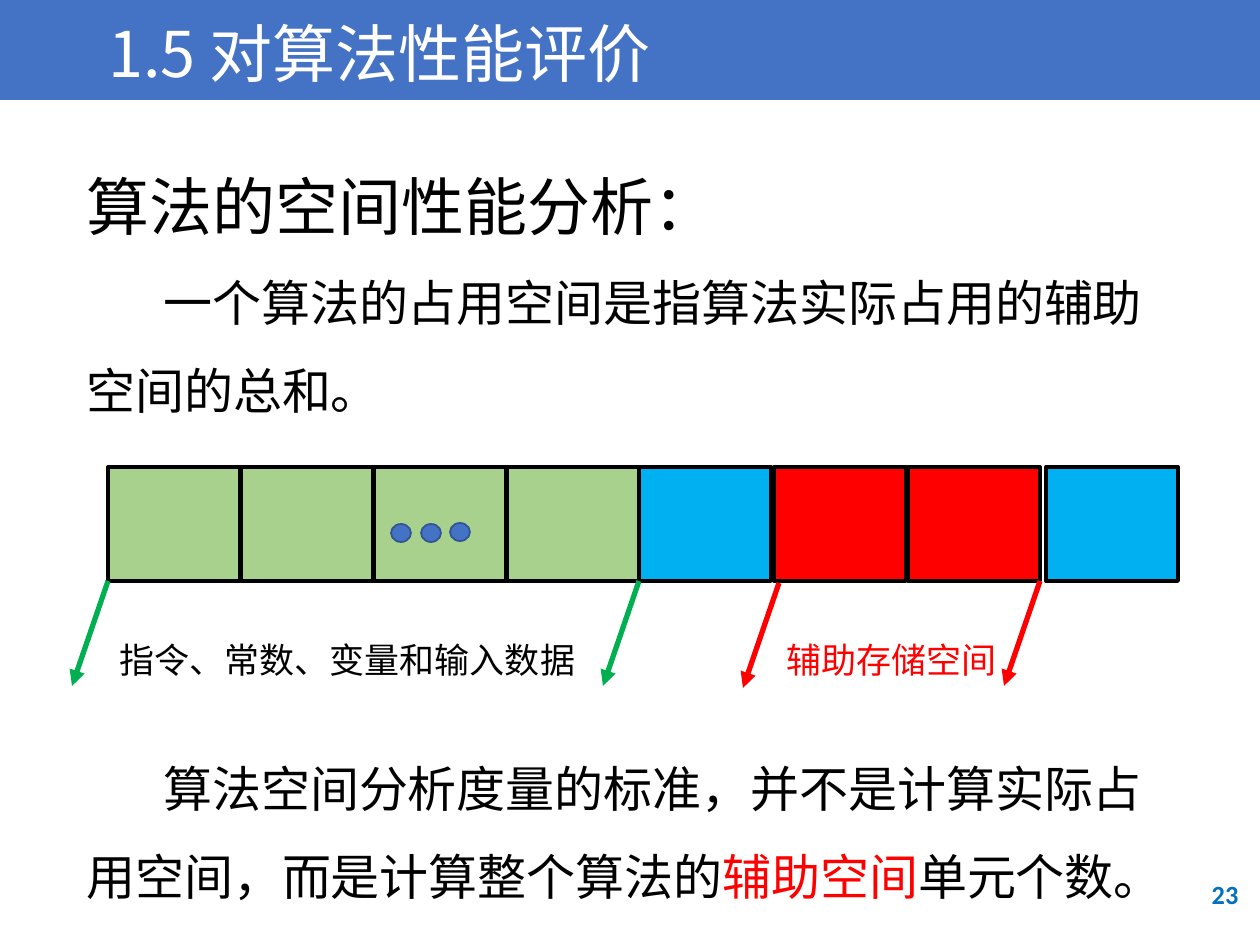
from lxml import etree
from pptx import Presentation
from pptx.dml.color import RGBColor
from pptx.enum.shapes import MSO_CONNECTOR, MSO_SHAPE
from pptx.enum.text import MSO_ANCHOR, PP_ALIGN
from pptx.oxml.ns import qn
from pptx.util import Emu, Pt

RECT, OVAL = MSO_SHAPE.RECTANGLE, MSO_SHAPE.OVAL
STRAIGHT = MSO_CONNECTOR.STRAIGHT
LEFT, CENTER = PP_ALIGN.LEFT, PP_ALIGN.CENTER
TOP, MIDDLE = MSO_ANCHOR.TOP, MSO_ANCHOR.MIDDLE

CJK = "Noto Sans CJK SC"
BLACK, WHITE, RED = "000000", "FFFFFF", "FF0000"
BLUE, GREEN, SKY = "4472C4", "A9D18E", "00B0F0"
ARROW_GREEN = "00B050"
INDENT = 77


def px(n):
    return Emu(round(n * 914400 / 126))


def rgb(value):
    return RGBColor.from_string(value)


def add_shape(slide, kind, x, y, w, h, fill, line=None, weight=1):
    sp = slide.shapes.add_shape(kind, px(x), px(y), px(w), px(h))
    sp.shadow.inherit = False
    sp.fill.solid()
    sp.fill.fore_color.rgb = rgb(fill)
    if line:
        sp.line.color.rgb = rgb(line)
        sp.line.width = Pt(weight)
    else:
        sp.line.fill.background()
    return sp


def add_run(p, text, size, color=BLACK, font=CJK, bold=False):
    r = p.add_run()
    r.text = text
    r.font.size = Pt(size)
    r.font.name = font
    r.font.bold = bold
    r.font.color.rgb = rgb(color)
    ea = etree.SubElement(r._r.get_or_add_rPr(), qn("a:ea"))
    ea.set("typeface", font)


def add_text(slide, x, y, w, h, paragraphs, align=LEFT, anchor=TOP,
             spacing=1.0, **fmt):
    """Each paragraph is (indent, size, [(text, color), ...])."""
    tf = slide.shapes.add_textbox(px(x), px(y), px(w), px(h)).text_frame
    tf.word_wrap = True
    tf.vertical_anchor = anchor
    for i, (indent, size, runs) in enumerate(paragraphs):
        p = tf.add_paragraph() if i else tf.paragraphs[0]
        p.alignment = align
        p.line_spacing = spacing
        if indent:
            p._p.get_or_add_pPr().set("indent", str(px(indent)))
        for text, color in runs:
            add_run(p, text, size, color, **fmt)


def add_arrow(slide, x, y, color):
    line = slide.shapes.add_connector(STRAIGHT, px(x), px(y),
                                      px(x - 36), px(y + 105))
    line.line.color.rgb = rgb(color)
    line.line.width = Pt(3)
    tail = etree.SubElement(line.line._get_or_add_ln(), qn("a:tailEnd"))
    tail.set("type", "triangle")
    etree.SubElement(line._element.spPr, qn("a:effectLst"))


def title_bar(slide, x, y, w, h):
    add_shape(slide, RECT, x, y, w, h, BLUE)
    add_text(slide, x + 96, y + 8, w - 96, 89,
             [(0, 36, [("1.5 对算法性能评价", WHITE)])])


def definition(slide, x, y, w, h):
    add_text(slide, x, y, w, h, [
        (0, 36, [("算法的空间性能分析：", BLACK)]),
        (INDENT, 28, [("一个算法的占用空间是指算法实际占用的辅助空间的总和。",
                       BLACK)]),
    ], spacing=1.5)


def memory_diagram(slide, x, y, cell_w, cell_h):
    # Memory cells
    cells = [(i * 133, GREEN) for i in range(4)]
    cells += [(531, SKY), (666, RED), (800, RED), (938, SKY)]
    for dx, fill in cells:
        add_shape(slide, RECT, x + dx, y, cell_w, cell_h, fill, BLACK, 2.25)

    # Ellipsis dots
    for dx, dy in ((283, 57), (313, 57), (342, 56)):
        add_shape(slide, OVAL, x + dx, y + dy, 20, 18, BLUE, "325491")

    # Labels between the arrows
    for dx, w, text, color in ((-1, 539, "指令、常数、变量和输入数据", BLACK),
                               (666, 266, "辅助存储空间", RED)):
        add_text(slide, x + dx, y + 165, w, 55, [(0, 20, [(text, color)])])

    # Arrows marking the ends of each region
    for dx, dy, color in ((0, 0, ARROW_GREEN), (531, 0, ARROW_GREEN),
                          (671, 2, RED), (932, 0, RED)):
        add_arrow(slide, x + dx, y + cell_h + dy, color)


def conclusion(slide, x, y, w, h):
    add_text(slide, x, y, w, h, [
        (INDENT, 28, [
            ("算法空间分析度量的标准，并不是计算实际占用空间，"
             "而是计算整个算法的", BLACK),
            ("辅助空间", RED),
            ("单元个数。", BLACK),
        ]),
    ], spacing=1.5)


def page_number(slide, x, y, w, h):
    add_text(slide, x, y, w, h, [(0, 15, [("23", "0070C0")])],
             align=CENTER, anchor=MIDDLE, font="Calibri", bold=True)


def main():
    prs = Presentation()
    prs.slide_width, prs.slide_height = px(1260), px(945)
    slide = prs.slides.add_slide(prs.slide_layouts[6])
    title_bar(slide, 0, 0, 1260, 100)
    definition(slide, 74, 123, 1120, 295)
    memory_diagram(slide, 108, 467, 132, 114)
    conclusion(slide, 74, 723, 1109, 180)
    page_number(slide, 1190, 869, 70, 50)
    prs.save("out.pptx")


if __name__ == "__main__":
    main()
